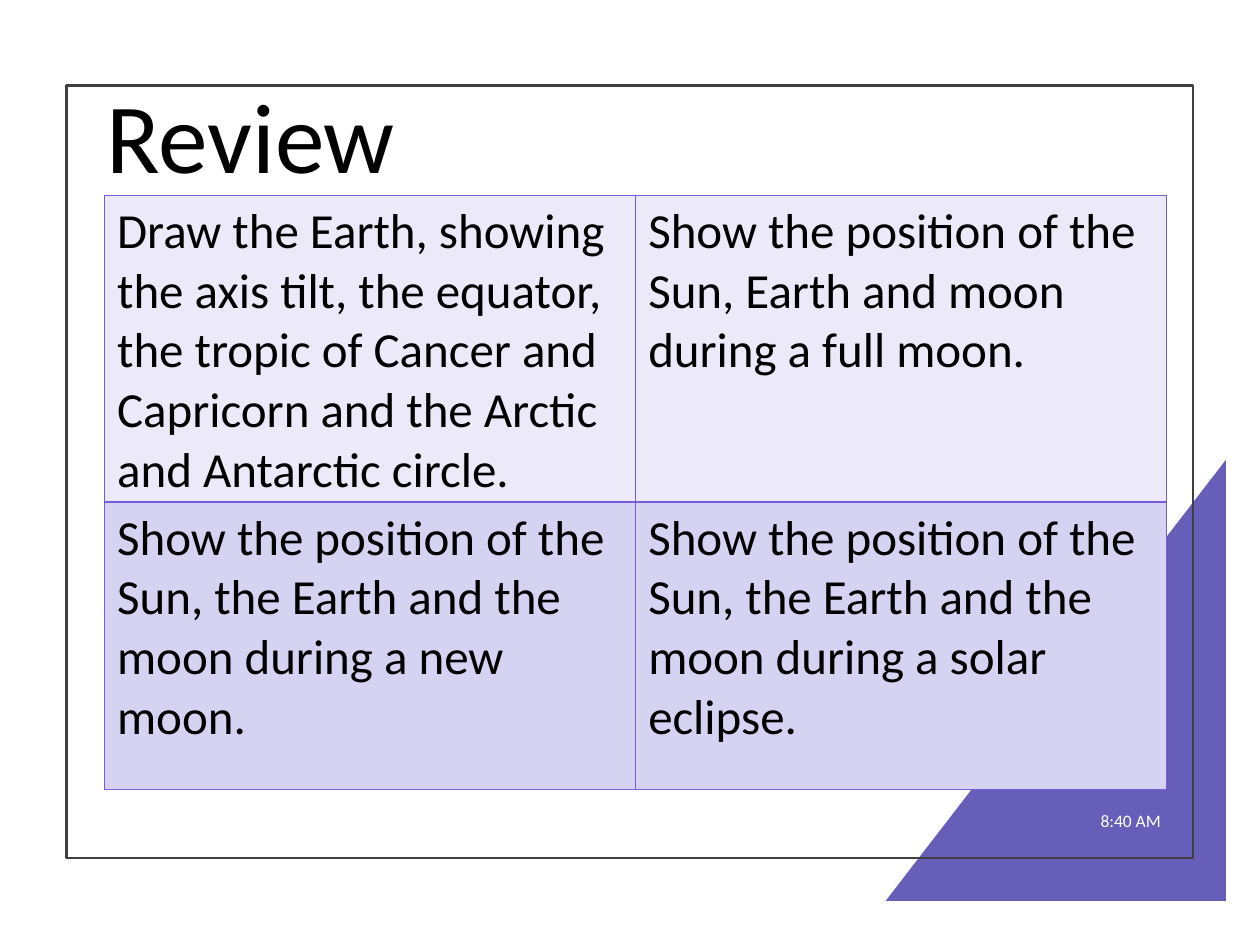
"""Build the astronomy review slide with its four drawing tasks."""
import pptx
import pptx.dml.color
import pptx.enum.shapes
import pptx.enum.text
import pptx.oxml
import pptx.oxml.ns
import pptx.util
from pptx.util import Inches, Pt

TITLE = "Review"
TIME = "8:40 AM"
TASKS = [
    ["Draw the Earth, showing the axis tilt, the equator, the tropic of Cancer "
     "and Capricorn and the Arctic and Antarctic circle.",
     "Show the position of the Sun, Earth and moon during a full moon."],
    ["Show the position of the Sun, the Earth and the moon during a new moon.",
     "Show the position of the Sun, the Earth and the moon during a solar eclipse."],
]
ROW_FILLS = ["ECEAF8", "D6D2F1"]
BORDER = "755DD9"
COLUMN_WIDTH, ROW_HEIGHT = 4.215, 2.28
SHAPES = pptx.enum.shapes.MSO_SHAPE
ALIGN = pptx.enum.text.PP_ALIGN


def color(value):
    return pptx.dml.color.RGBColor.from_string(value)


def style(paragraph, size, value):
    font = paragraph.font
    font.name, font.size, font.color.rgb = "Calibri", Pt(size), color(value)


def add_plain_shape(slide, kind, box):
    shape = slide.shapes.add_shape(kind, *map(Inches, box))
    shape.shadow.inherit = False
    return shape


def add_label(slide, text, box, size, value, align):
    frame = slide.shapes.add_textbox(*map(Inches, box)).text_frame
    frame.word_wrap = True
    frame.vertical_anchor = pptx.enum.text.MSO_ANCHOR.MIDDLE
    paragraph = frame.paragraphs[0]
    paragraph.text, paragraph.alignment = text, align
    style(paragraph, size, value)
    return paragraph


def outline(cell):
    properties = cell._tc.get_or_add_tcPr()
    for position, side in enumerate(("lnL", "lnR", "lnT", "lnB")):
        properties.insert(position, pptx.oxml.parse_xml(
            f'<a:{side} {pptx.oxml.ns.nsdecls("a")} w="{Pt(1)}"><a:solidFill>'
            f'<a:srgbClr val="{BORDER}"/></a:solidFill></a:{side}>'))


def add_tasks(slide):
    rows, columns = len(TASKS), len(TASKS[0])
    table = slide.shapes.add_table(
        rows, columns, Inches(0.83), Inches(1.55),
        Inches(columns * COLUMN_WIDTH), Inches(rows * ROW_HEIGHT)).table
    for r, (tasks, fill) in enumerate(zip(TASKS, ROW_FILLS)):
        for c, task in enumerate(tasks):
            cell = table.cell(r, c)
            cell.text = task
            cell.fill.solid()
            cell.fill.fore_color.rgb = color(fill)
            outline(cell)
            style(cell.text_frame.paragraphs[0], 28, "000000")


def main():
    deck = pptx.Presentation()
    deck.slide_width, deck.slide_height = Inches(10), Inches(7.5)
    slide = deck.slides.add_slide(deck.slide_layouts[6])

    corner = add_plain_shape(slide, SHAPES.RIGHT_TRIANGLE, (7.03, 3.65, 2.7, 3.5))
    corner._element.spPr.get_or_add_xfrm().set("flipH", "1")
    corner.fill.solid()
    corner.fill.fore_color.rgb = color("665EB8")
    corner.line.fill.background()

    border = add_plain_shape(slide, SHAPES.RECTANGLE, (0.53, 0.68, 8.94, 6.13))
    border.fill.background()
    border.line.color.rgb, border.line.width = color("404040"), Pt(1.5)

    title = add_label(slide, TITLE, (0.75, 0.75, 6.85, 0.74), 56.7, "000000", ALIGN.LEFT)
    title.line_spacing = 0.9
    time = add_label(slide, TIME, (7.41, 6.31, 1.9, 0.4), 10, "FFFFFF", ALIGN.RIGHT)
    time.space_after = Pt(6)
    add_tasks(slide)
    deck.save("out.pptx")


if __name__ == "__main__":
    main()
